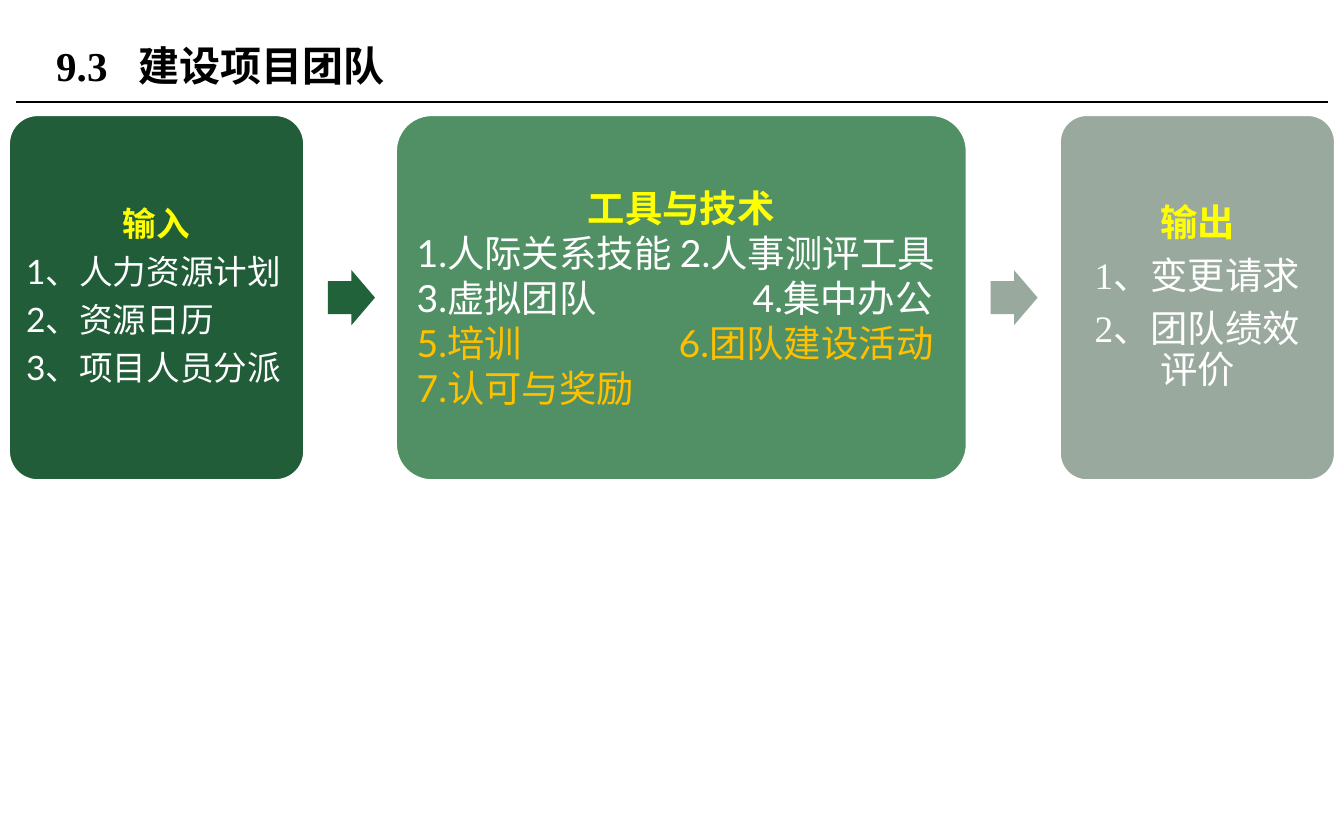
"""Build the slide on inputs, tools and outputs of developing a project team."""
import pptx
import pptx.dml.color
import pptx.enum.shapes
import pptx.enum.text
import pptx.oxml
import pptx.oxml.ns
import pptx.util
from pptx.util import Inches

YELLOW, WHITE, ORANGE = "FFFF00", "FFFFFF", "FFC000"
CARD_TOP, CARD_HEIGHT = 0.85, 2.73
ARROW_WIDTH, ARROW_HEIGHT = 0.35, 0.41
CARD_TO_ARROW = 0.17
LEFT = pptx.enum.text.PP_ALIGN.LEFT
CENTER = pptx.enum.text.PP_ALIGN.CENTER


def color(value):
    return pptx.dml.color.RGBColor.from_string(value)


def add_tabs(paragraph, stops):
    properties = paragraph._p.get_or_add_pPr()
    tab_list = pptx.oxml.parse_xml(f"<a:tabLst {pptx.oxml.ns.nsdecls('a')}/>")
    for stop in stops:
        tab = tab_list.makeelement(pptx.oxml.ns.qn("a:tab"), {"pos": str(Inches(stop)), "algn": "l"})
        tab_list.append(tab)
    properties.append(tab_list)


def write(paragraph, text, size=18, font="Lato", fill=WHITE, bold=False,
          align=LEFT, line_spacing=1.0, space_after=0, tabs=()):
    paragraph.alignment = align
    paragraph.line_spacing = line_spacing
    paragraph.space_after = pptx.util.Pt(space_after)
    if tabs:
        add_tabs(paragraph, tabs)
    run = paragraph.add_run()
    run.text = text
    run.font.size = pptx.util.Pt(size)
    run.font.name = font
    run.font.bold = bold
    run.font.color.rgb = color(fill)


def add_block(slide, kind, left, top, width, height, fill, adjustments):
    shape = slide.shapes.add_shape(kind, Inches(left), Inches(top), Inches(width), Inches(height))
    shape.shadow.inherit = False
    shape.fill.solid()
    shape.fill.fore_color.rgb = color(fill)
    shape.line.fill.background()
    for index, value in enumerate(adjustments):
        shape.adjustments[index] = value
    return shape


def add_card(slide, left, width, fill, inset, heading, lines, **shared):
    kind = pptx.enum.shapes.MSO_SHAPE.ROUNDED_RECTANGLE
    shape = add_block(slide, kind, left, CARD_TOP, width, CARD_HEIGHT, fill, [0.1])
    shape.line.color.rgb = color(WHITE)
    shape.line.width = pptx.util.Pt(2)
    frame = shape.text_frame
    frame.word_wrap = True
    frame.vertical_anchor = pptx.enum.text.MSO_ANCHOR.MIDDLE
    frame.margin_left = frame.margin_right = Inches(inset)
    frame.margin_top = frame.margin_bottom = Inches(inset)
    write(frame.paragraphs[0], heading, **{**shared, "fill": YELLOW, "bold": True,
                                           "align": CENTER, "font": "Lato"})
    for text, line_format in lines:
        write(frame.add_paragraph(), text, **{**shared, **line_format})


def add_arrow(slide, card_right, fill):
    top = CARD_TOP + (CARD_HEIGHT - ARROW_HEIGHT) / 2
    add_block(slide, pptx.enum.shapes.MSO_SHAPE.RIGHT_ARROW, card_right + CARD_TO_ARROW, top,
              ARROW_WIDTH, ARROW_HEIGHT, fill, [0.6, 0.5])


def add_divider(slide):
    line = slide.shapes.add_connector(pptx.enum.shapes.MSO_CONNECTOR.STRAIGHT,
                                      Inches(0.12), Inches(0.76), Inches(9.88), Inches(0.76))
    line.line.color.rgb = color("000000")
    line.line.width = pptx.util.Pt(0.75)
    line._element.spPr.append(pptx.oxml.parse_xml(f"<a:effectLst {pptx.oxml.ns.nsdecls('a')}/>"))


def add_title(slide, text):
    box = slide.shapes.add_textbox(Inches(0.32), Inches(0.13), Inches(6.38), Inches(0.71))
    box.text_frame.word_wrap = True
    box.text_frame.vertical_anchor = pptx.enum.text.MSO_ANCHOR.MIDDLE
    write(box.text_frame.paragraphs[0], text, size=22, font="Times New Roman",
          fill="000000", bold=True, tabs=[0.61])


def main():
    presentation = pptx.Presentation()
    presentation.slide_width, presentation.slide_height = Inches(10), Inches(6.25)
    slide = presentation.slides.add_slide(presentation.slide_layouts[6])
    add_divider(slide)
    add_title(slide, "9.3\t建设项目团队")

    inputs = ["1、人力资源计划", "2、资源日历", "3、项目人员分派"]
    add_card(slide, 0.06, 2.21, "215D38", 0.07, "输入", [(text, {}) for text in inputs],
             size=18, line_spacing=0.9, space_after=6.3)
    add_arrow(slide, 2.27, "22623B")

    tools = [
        ("1.人际关系技能 2.人事测评工具\t3.虚拟团队\t4.集中办公", {"tabs": [0.47, 2.5]}),
        ("5.培训\t6.团队建设活动", {"fill": ORANGE, "tabs": [1.95]}),
        ("7.认可与奖励", {"fill": ORANGE}),
    ]
    add_card(slide, 2.94, 4.26, "519065", 0.08, "工具与技术", tools, size=20)
    add_arrow(slide, 7.2, "99A99D")

    outputs = ["1、变更请求", "2、团队绩效评价"]
    add_card(slide, 7.88, 2.06, "9AA99E", 0.08, "输出", [(text, {}) for text in outputs],
             size=20, font="Times New Roman", align=CENTER, line_spacing=0.9, space_after=7)
    presentation.save("out.pptx")


if __name__ == "__main__":
    main()
